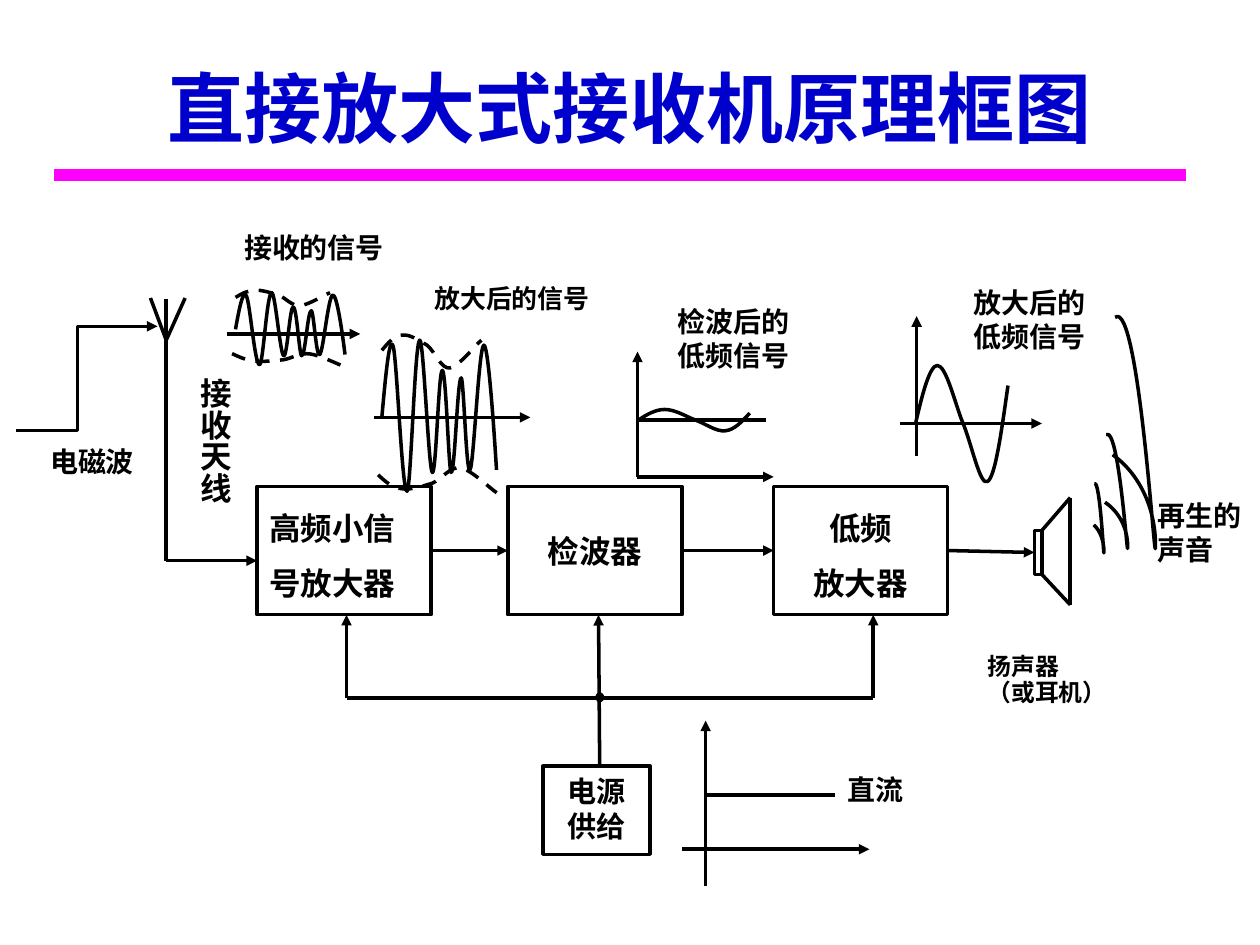
from lxml.etree import SubElement
from pptx import Presentation
from pptx.dml.color import RGBColor
from pptx.enum.dml import MSO_LINE
from pptx.enum.shapes import MSO_CONNECTOR as LINK, MSO_SHAPE as SHAPE
from pptx.enum.text import MSO_ANCHOR as ANCHOR, PP_ALIGN as ALIGN
from pptx.oxml.ns import qn
from pptx.util import Pt

COLORS = {"ink": "000000", "title": "0000CC", "rule": "FF00FF"}
BODY_FONT = "Times New Roman"
CJK_FONT = "Noto Sans CJK SC"

# Bezier outlines: a start point, then three points per curve.
# Each is (width, height, points) in its own units.
MODULATED = (91, 126, [
    (0, 66), (3, 33), (6, 0), (9, 10), (12, 20), (16, 126), (20, 125),
    (23, 125), (26, 8), (30, 5), (33, 2), (37, 106), (40, 110),
    (43, 114), (45, 29), (48, 29), (51, 29), (53, 109), (55, 110),
    (58, 111), (60, 35), (63, 35), (65, 35), (67, 113), (70, 108),
    (73, 104), (77, 9), (81, 9), (84, 9), (88, 59), (91, 108)])
ENVELOPE = (79, 28, [
    (0, 13), (5, 7), (10, 1), (16, 1), (22, 0), (29, 5), (36, 9),
    (42, 14), (47, 28), (54, 27), (61, 26), (75, 8), (79, 5)])
AUDIO = (73, 98, [
    (0, 45), (5, 23), (11, 0), (17, 0), (24, 0), (31, 30), (37, 45),
    (44, 61), (51, 97), (57, 92), (63, 88), (68, 52), (73, 16)])
SOUND = (34, 181, [
    (0, 109), (21, 124), (34, 151), (34, 181), (34, 210), (21, -15), (2, 0)])


def rgb(name):
    return RGBColor.from_string(COLORS[name])


def stroke(shape, color="ink", width=2):
    shape.line.color.rgb = rgb(color)
    shape.line.width = Pt(width)


def write(shape, text, size, align, spacing=1.0, anchor=ANCHOR.TOP,
          color="ink", font=BODY_FONT):
    frame = shape.text_frame
    frame.word_wrap = True
    frame.vertical_anchor = anchor
    frame.margin_left = frame.margin_right = Pt(7.2)
    frame.margin_top = frame.margin_bottom = Pt(3.6)
    frame.text = text
    for paragraph in frame.paragraphs:
        paragraph.alignment = align
        paragraph.line_spacing = spacing
        for run in paragraph.runs:
            run.font.name = font
            run.font.size = Pt(size)
            run.font.bold = True
            run.font.color.rgb = rgb(color)
            east_asian = SubElement(run.font._element, qn("a:ea"))
            east_asian.set("typeface", CJK_FONT)
    return frame


def add_label(slide, box, text, size=16, spacing=1.0):
    label = slide.shapes.add_textbox(*map(Pt, box))
    return write(label, text, size, ALIGN.JUSTIFY, spacing)


def add_box(slide, box, text="", size=18, align=ALIGN.CENTER, spacing=1.0,
            anchor=ANCHOR.TOP):
    block = slide.shapes.add_shape(SHAPE.RECTANGLE, *map(Pt, box))
    block.shadow.inherit = False
    block.fill.background()
    stroke(block)
    if text:
        write(block, text, size, align, spacing, anchor)
    return block


def add_line(slide, x1, y1, x2, y2, arrow=False, kind=LINK.STRAIGHT,
             color="ink", width=2):
    line = slide.shapes.add_connector(kind, *map(Pt, (x1, y1, x2, y2)))
    stroke(line, color, width)
    if arrow:
        SubElement(line.line._get_or_add_ln(), qn("a:tailEnd")).set(
            "type", "triangle")
    SubElement(line._element.spPr, qn("a:effectLst"))
    return line


def add_flow(slide, source, target):
    """Arrow from the right side of one block to the left side of the next."""
    arrow = add_line(slide, 0, 0, 10, 10, arrow=True)
    arrow.begin_connect(source, 3)
    arrow.end_connect(target, 1)


def add_curve(slide, outline, box, dashed=False, mirrored=False, rotation=0):
    """Scale a Bezier outline into box (left, top, width, height)."""
    unit_width, unit_height, points = outline
    left, top, width, height = box
    if mirrored:
        points = [(unit_width - x, y) for x, y in points]
    placed = [(Pt(left + x * width / unit_width),
               Pt(top + y * height / unit_height)) for x, y in points]
    builder = slide.shapes.build_freeform(*placed[0])
    builder.add_line_segments(placed[1:], close=False)
    curve = builder.convert_to_shape()

    path_element = next(curve._element.iter(qn("a:path")))
    segments = path_element.findall(qn("a:lnTo"))
    for first in range(0, len(segments), 3):
        bezier = SubElement(path_element, qn("a:cubicBezTo"))
        for segment in segments[first:first + 3]:
            bezier.append(segment[0])
            path_element.remove(segment)

    curve.shadow.inherit = False
    curve.fill.background()
    stroke(curve)
    curve.rotation = rotation
    if dashed:
        curve.line.dash_style = MSO_LINE.DASH


def add_modulated_signal(slide, wave, upper, lower):
    add_curve(slide, MODULATED, wave)
    add_curve(slide, ENVELOPE, upper, dashed=True)
    add_curve(slide, ENVELOPE, lower, dashed=True, mirrored=True,
              rotation=184.8)


def add_title(slide):
    title = slide.shapes.title
    title.left, title.top, title.width, title.height = map(
        Pt, (36, 21.6, 648, 78.5))
    write(title, "直接放大式接收机原理框图", 44, ALIGN.CENTER,
          anchor=ANCHOR.MIDDLE, color="title", font=CJK_FONT)
    add_line(slide, 31, 100, 677.5, 100, color="rule", width=7)


def add_signals(slide):
    add_modulated_signal(slide, (134.6, 165.6, 62.6, 43.2),
                         (134.6, 165.6, 54, 9.4), (132.5, 200.9, 64.8, 7.2))
    add_modulated_signal(slide, (218.2, 190.8, 65.5, 90.7),
                         (218.2, 190.8, 56.9, 20.2), (216, 265.7, 68.4, 15.8))
    add_curve(slide, AUDIO, (365, 234, 63.4, 13))
    add_curve(slide, AUDIO, (523.4, 208.8, 52.6, 70.6))
    for axis in [(129.6, 190.8, 205.9, 190.8), (213.8, 238.5, 303.1, 238.5),
                 (364.3, 272.5, 442.1, 272.5), (364.3, 272.5, 364.3, 200.9),
                 (523.8, 260.6, 523.8, 180.7), (514.1, 242, 595.4, 242),
                 (403.2, 506.2, 403.2, 411.8), (390, 485.3, 496.8, 485.3)]:
        add_line(slide, *axis, arrow=True)
    add_line(slide, 364.3, 240, 437.8, 240)
    add_line(slide, 403.2, 454.3, 477.4, 454.3)


def add_antenna(slide):
    wave = add_line(slide, 9.4, 246.2, 90, 186.5, arrow=True, kind=LINK.ELBOW)
    bend = SubElement(next(wave._element.iter(qn("a:avLst"))), qn("a:gd"))
    bend.set("name", "adj1")
    bend.set("fmla", "val 43300")
    mast = 95
    add_line(slide, mast, 320.4, mast, 170.6)
    add_line(slide, mast, 320.4, 146.9, 320.4, arrow=True)
    for tip in (86, 105.8):
        add_line(slide, mast, 194.4, tip, 170.3)


def add_speaker(slide):
    coil = add_box(slide, (591.1, 303.1, 4.3, 25.2))
    add_line(slide, 595.4, 303.1, 611.6, 284.4)
    add_line(slide, 595.4, 328.3, 611.6, 345.6)
    add_line(slide, 611.6, 284.4, 611.6, 345.6)
    for wave in [(625, 276.5, 5.8, 38.9), (631.4, 248.4, 13, 64.1),
                 (635.8, 181.4, 24.5, 130.3)]:
        add_curve(slide, SOUND, wave)
    return coil


def add_stages(slide):
    top, width, height = 277.9, 99.4, 73.4
    amplifier = add_box(slide, (146.9, top, width, height),
                        "高频小信\n号放大器", align=ALIGN.JUSTIFY, spacing=1.44)
    detector = add_box(slide, (290.2, top, width, height), "检波器",
                       anchor=ANCHOR.MIDDLE)
    audio = add_box(slide, (442.1, top, width, height), "低频\n放大器",
                    spacing=1.44)
    stages = [amplifier, detector, audio, add_speaker(slide)]
    for source, target in zip(stages, stages[1:]):
        add_flow(slide, source, target)


def add_power_supply(slide):
    add_box(slide, (310.3, 437.8, 61.2, 50.4), "电源\n供给", size=16.6,
            spacing=1.02)
    bus, stage_bottom = 398.9, 351.4
    add_line(slide, 198, bus, 499, bus)
    for x in (198, 499):
        add_line(slide, x, bus, x, stage_bottom, arrow=True)
    add_line(slide, 342.7, 437.8, 342, stage_bottom, arrow=True)
    junction = slide.shapes.add_shape(
        SHAPE.OVAL, *map(Pt, (340.6, 396, 4.3, 5)))
    junction.shadow.inherit = False
    junction.fill.solid()
    junction.fill.fore_color.rgb = rgb("ink")
    stroke(junction, width=0.75)


def add_labels(slide):
    add_label(slide, (132.5, 128.2, 98.6, 31), "接收的信号")
    add_label(slide, (241.2, 159.8, 108.7, 31), "放大后的信号", 14.8, 0.9)
    add_label(slide, (380.2, 170.6, 81.4, 52.6), "检波后的\n低频信号")
    add_label(slide, (549.4, 159.8, 81.4, 52.6), "放大后的\n低频信号")
    add_label(slide, (654.5, 281.5, 65.5, 52.6), "再生的\n声音")
    add_label(slide, (557.3, 370.8, 86.4, 52.6), "扬声器\n（或耳机）", 13.6, 0.9)
    add_label(slide, (477.4, 437.8, 64.1, 31), "直流")
    add_label(slide, (21.6, 250.6, 64.1, 31), "电磁波")
    antenna = add_label(slide, (99.4, 208.8, 36.7, 100.1), "接收天线", 18, 0.96)
    antenna.margin_left = antenna.margin_right = Pt(3.6)
    antenna.margin_top = antenna.margin_bottom = Pt(7.2)
    antenna._element.find(qn("a:bodyPr")).set("vert", "eaVert")


def main():
    deck = Presentation()
    deck.slide_width, deck.slide_height = Pt(720), Pt(540)
    slide = deck.slides.add_slide(deck.slide_layouts[5])
    add_title(slide)
    add_signals(slide)
    add_stages(slide)
    add_antenna(slide)
    add_power_supply(slide)
    add_labels(slide)
    deck.save("out.pptx")


if __name__ == "__main__":
    main()
